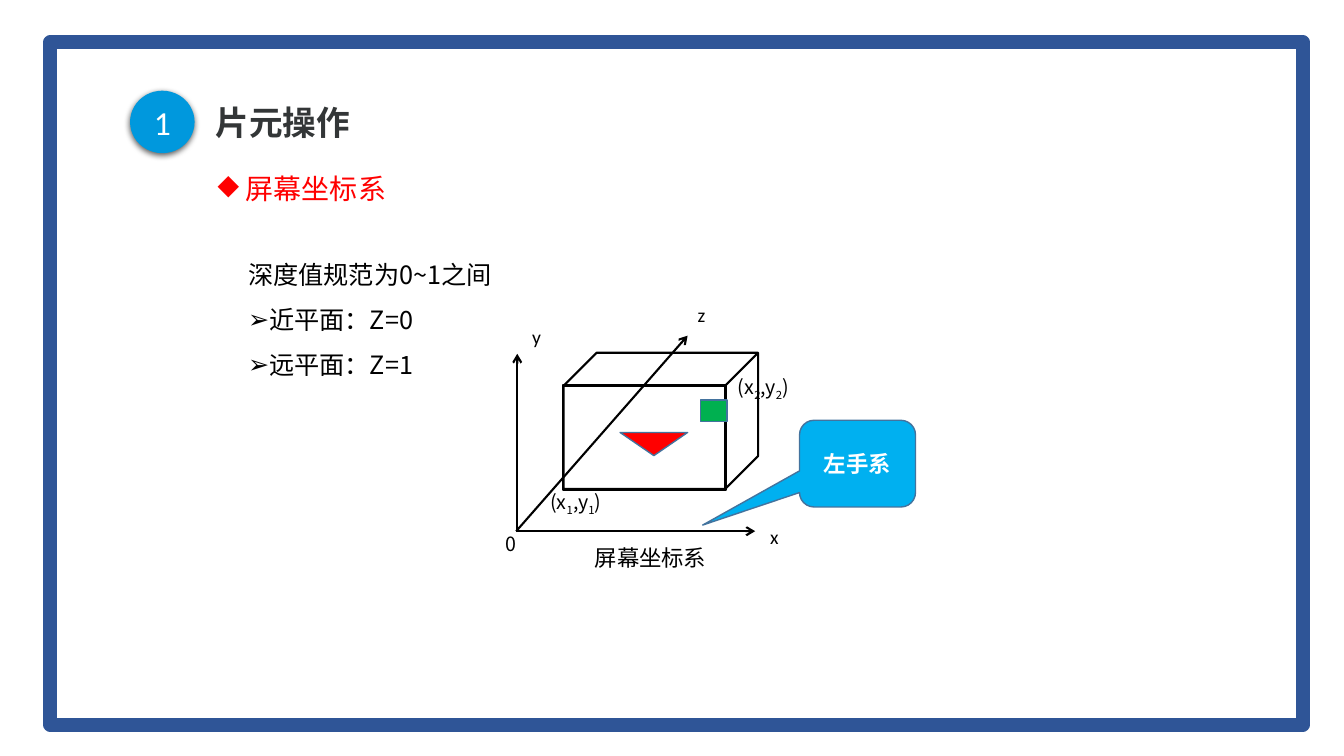
import pptx
import pptx.util
import pptx.dml.color
import pptx.enum.shapes
import pptx.enum.text
import pptx.oxml
import pptx.oxml.ns

Inches, Pt = pptx.util.Inches, pptx.util.Pt
RGB = pptx.dml.color.RGBColor.from_string
qn, xml = pptx.oxml.ns.qn, pptx.oxml.parse_xml
NS = pptx.oxml.ns.nsdecls("a")
Kind = pptx.enum.shapes.MSO_SHAPE
Fit = pptx.enum.text.MSO_AUTO_SIZE
Anchor = pptx.enum.text.MSO_ANCHOR
Align = pptx.enum.text.PP_ALIGN

SANS, LATIN = "Noto Sans CJK SC", "Calibri"
THEME = {
    "color": {"ink": "000000", "white": "FFFFFF", "frame": "2F5597", "badge": "0098DD",
              "edge": "43739E", "red": "FF0000", "green": "00B050", "call": "00B0F0"},
    "text": {
        "title": {"size": Pt(24), "name": SANS, "bold": True, "color": "333637"},
        "badge": {"size": Pt(24), "name": LATIN, "color": "FFFFFF"},
        "head": {"size": Pt(20), "name": SANS, "color": "FF0000"},
        "body": {"size": Pt(18), "name": SANS, "color": "000000"},
        "note": {"size": Pt(16), "name": SANS, "color": "000000"},
        "call": {"size": Pt(16), "name": SANS, "bold": True, "color": "FFFFFF"},
        "point": {"size": Pt(14), "name": SANS, "color": "000000"},
        "axis": {"size": Pt(14), "name": LATIN, "color": "000000"},
    },
}


def draw(shapes, kind, box, fill=None, line=None, width=1):
    shape = shapes.add_shape(kind, *map(Inches, box))
    shape.shadow.inherit = False
    if fill:
        shape.fill.solid()
        shape.fill.fore_color.rgb = RGB(THEME["color"][fill])
    else:
        shape.fill.background()
    if line:
        shape.line.color.rgb = RGB(THEME["color"][line])
        shape.line.width = Pt(width)
    else:
        shape.line.fill.background()
    return shape


def write(para, text, role, bullet=None, indent=0, **style):
    """Fill a paragraph; parts of the text after an underscore start with one subscript letter."""
    props = para._p.get_or_add_pPr()
    props.set("marL", str(Inches(indent)))
    props.set("indent", str(-Inches(indent)))
    mark = f'<a:buChar {NS} char="{bullet}"/>' if bullet else f"<a:buNone {NS}/>"
    props.append(xml(mark))
    for key, value in style.items():
        setattr(para, key, value)
    first, *rest = text.split("_")
    parts = [(first, False)]
    for part in rest:
        parts += [(part[0], True), (part[1:], False)]
    for part, low in parts:
        run = para.add_run()
        run.text = part
        for key, value in THEME["text"][role].items():
            if key == "color":
                run.font.color.rgb = RGB(value)
            else:
                setattr(run.font, key, value)
        rpr = run._r.get_or_add_rPr()
        rpr.append(xml(f'<a:ea {NS} typeface="{run.font.name}"/>'))
        if low:
            rpr.set("baseline", "-25000")


deck = pptx.Presentation()
deck.slide_width, deck.slide_height = Inches(13.33), Inches(7.5)
page = deck.slides.add_slide(deck.slide_layouts[1])
shapes = page.shapes

# Frame, behind the placeholders
panel = draw(shapes, Kind.RECTANGLE, (0.58, 0.5, 12.25, 6.62), "white")
tint = panel._element.spPr.find(qn("a:solidFill"))[0]
tint.append(xml(f'<a:alpha {NS} val="86000"/>'))
frame = draw(shapes, Kind.RECTANGLE, (0.5, 0.42, 12.42, 6.77), None, "frame", 10)
for back in (frame, panel):
    shapes._spTree.insert(2, back._element)

# Title, badge and list
title, body = shapes.title, page.placeholders[1]
for holder, box in ((title, (2.04, 0.93, 8.35, 0.61)), (body, (2.36, 2.37, 2.7, 1.92))):
    for side, value in zip(("left", "top", "width", "height"), box):
        setattr(holder, side, Inches(value))
title.text_frame.vertical_anchor = Anchor.MIDDLE
title.text_frame.auto_size = Fit.NONE
write(title.text_frame.paragraphs[0], "片元操作", "title",
      alignment=Align.LEFT, line_spacing=0.9)

badge = draw(shapes, Kind.OVAL, (1.29, 0.9, 0.64, 0.62), "badge")
glow = badge._element.spPr.find(qn("a:effectLst"))
glow.append(xml(
    f'<a:outerShdw {NS} blurRad="{Pt(4.5)}" dist="{Pt(1.5)}" dir="5400000" rotWithShape="0">'
    '<a:srgbClr val="000000"><a:alpha val="63000"/></a:srgbClr></a:outerShdw>'))

body.text_frame.auto_size = Fit.SHAPE_TO_FIT_TEXT
body.text_frame.word_wrap = True
body.text_frame.vertical_anchor = Anchor.TOP
items = (("深度值规范为0~1之间", None, 0), ("近平面：Z=0", "➢", 0.21), ("远平面：Z=1", "➢", 0.21))
for i, (text, bullet, indent) in enumerate(items):
    para = body.text_frame.add_paragraph() if i else body.text_frame.paragraphs[0]
    write(para, text, "body", bullet, indent, line_spacing=1.5, space_before=Pt(0))

# View volume and axes
axes = [((5.12, 5.27), (6.82, 3.33)), ((5.13, 5.28), (5.13, 3.51)), ((5.13, 5.27), (7.49, 5.27))]
for start, end in axes:
    axis = shapes.add_connector(pptx.enum.shapes.MSO_CONNECTOR.STRAIGHT,
                                *map(Inches, start + end))
    axis.line.color.rgb = RGB(THEME["color"]["ink"])
    axis.line.width = Pt(1.5)
    axis.line._get_or_add_ln().append(xml(f'<a:tailEnd {NS} type="arrow"/>'))
    axis._element.spPr.append(xml(f"<a:effectLst {NS}/>"))

cube = draw(shapes, Kind.CUBE, (5.59, 3.5, 1.93, 1.35), None, "ink", 1.5)
cube.adjustments[0] = 0.242
near = shapes.add_group_shape().shapes
draw(near, Kind.RECTANGLE, (5.58, 3.82, 1.62, 1.04), None, "ink", 1.5)
draw(near, Kind.ISOSCELES_TRIANGLE, (6.15, 4.29, 0.67, 0.23), "red", "edge").rotation = 180
draw(near, Kind.RECTANGLE, (6.95, 3.97, 0.26, 0.21), "green", "edge")

call = draw(shapes, Kind.ROUNDED_RECTANGULAR_CALLOUT, (7.93, 4.17, 1.15, 0.86), "call", "edge")
for i, value in enumerate((-1.336, 0.709, 0.167)):
    call.adjustments[i] = value
for shape, text, role in ((badge, "1", "badge"), (call, "左手系", "call")):
    shape.text_frame.vertical_anchor = Anchor.MIDDLE
    write(shape.text_frame.paragraphs[0], text, role, alignment=Align.CENTER)

# Labels: text, role, box, wrap, bullet, indent
labels = [
    ("屏幕坐标系", "head", (2.06, 1.65, 1.88, 0.44), False, "◆", 0.28),
    ("屏幕坐标系", "note", (5.8, 5.35, 1.32, 0.37), False, None, 0),
    ("(x_1,y_1)", "point", (5.36, 4.81, 1.1, 0.34), True, None, 0),
    ("(x_2,y_2)", "point", (7.22, 3.67, 1.1, 0.34), True, None, 0),
    ("0", "point", (4.92, 5.23, 1.1, 0.34), True, None, 0),
    ("x", "axis", (7.54, 5.16, 0.29, 0.34), False, None, 0),
    ("y", "axis", (5.18, 3.17, 0.29, 0.34), False, None, 0),
    ("z", "axis", (6.82, 2.96, 0.28, 0.34), False, None, 0),
]
for text, role, box, wrap, bullet, indent in labels:
    label = shapes.add_textbox(*map(Inches, box)).text_frame
    label.word_wrap = wrap
    label.auto_size = Fit.SHAPE_TO_FIT_TEXT
    write(label.paragraphs[0], text, role, bullet, indent)

deck.save("out.pptx")
